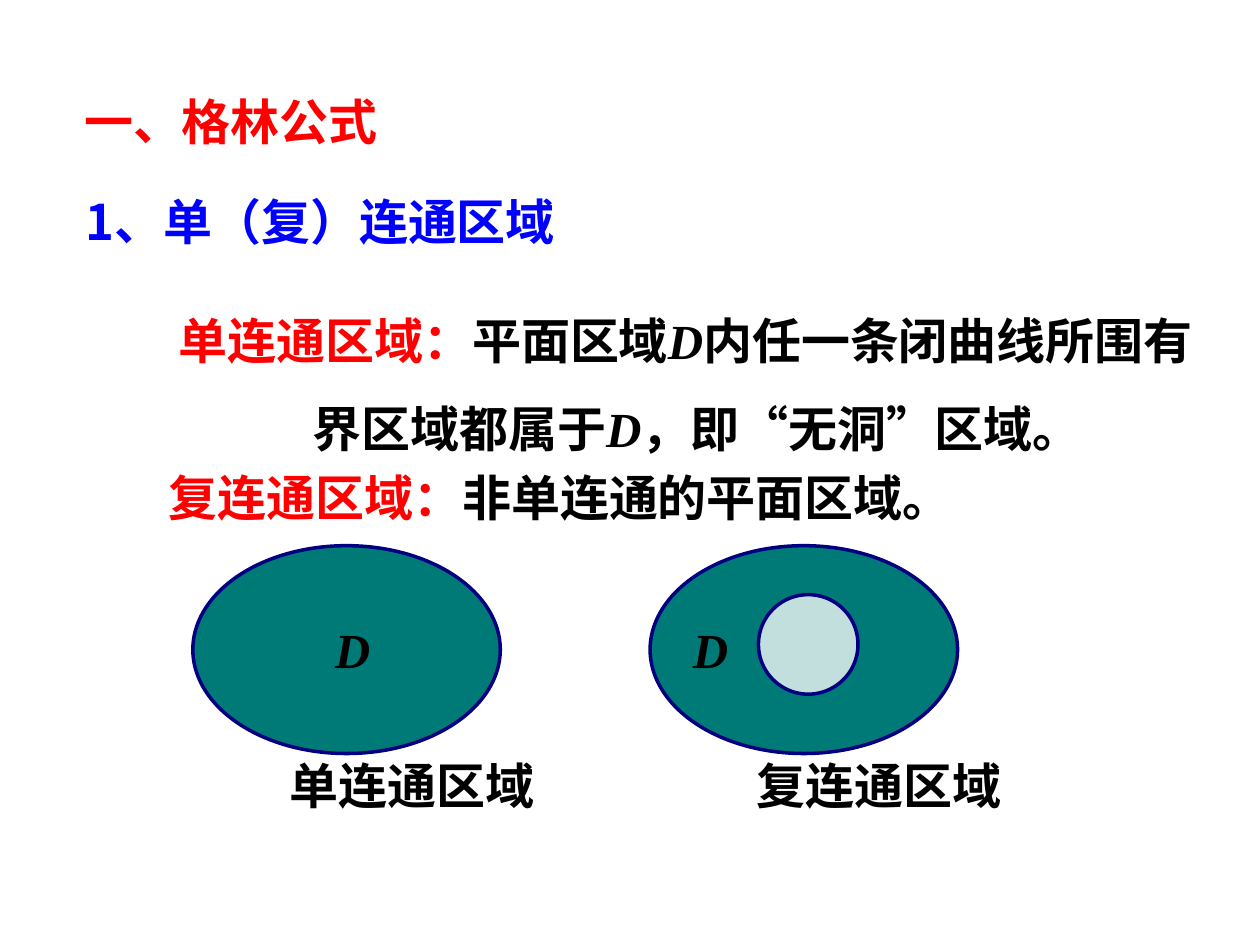
"""Builds a slide that defines simply and multiply connected regions."""
from lxml import etree
from pptx import Presentation
from pptx.dml.color import RGBColor
from pptx.enum.shapes import MSO_SHAPE
from pptx.oxml.ns import qn
from pptx.util import Pt

OVAL = MSO_SHAPE.OVAL
RED = RGBColor(0xFF, 0x00, 0x00)
BLUE = RGBColor(0x00, 0x00, 0xFF)
BLACK = RGBColor(0x00, 0x00, 0x00)
WHITE = RGBColor(0xFF, 0xFF, 0xFF)
TEAL = RGBColor(0x00, 0x7A, 0x77)
NAVY = RGBColor(0x00, 0x00, 0x80)
CJK, LATIN = "Noto Sans CJK SC", "Times New Roman"
TEXT_H = 41

D = ("D", BLACK, LATIN)
HEADINGS = [
    ((41, 49, 239), [[("一、格林公式", RED, CJK)]], {}),
    ((41.8, 105.8, 303), [[("1、单（复）连通区域", BLUE, CJK)]], {}),
]
DEFINITIONS = [
    ((95, 157, 613.5), [
        [("单连通区域：", RED, CJK), ("平面区域", BLACK, CJK), D,
         ("内任一条闭曲线所围有", BLACK, CJK)],
        [("界区域都属于", BLACK, CJK), D, ("，即“无洞”区域。", BLACK, CJK)],
    ], {"height": 108, "spacing": 1.5, "indents": (0, 76.5)}),
    ((89.3, 263.5, 531), [
        [("复连通区域：", RED, CJK), ("非单连通的平面区域。", BLACK, CJK)],
    ], {}),
]
REGIONS = [
    {"left": 110.2, "label": 184.3, "caption": ("单连通区域", 158.4), "hole": None},
    {"left": 371.5, "label": 388.8, "caption": ("复连通区域", 425.5), "hole": 433.4},
]
REGION_TOP, REGION_W, REGION_H = 311.8, 175.7, 118.8
HOLE_TOP, HOLE_SIZE = 339.8, 56.9
LABEL_TOP, LABEL_W = 350.6, 45.4
CAPTION_TOP, CAPTION_W = 428.4, 211


def add_text(shapes, place, paragraphs, height=TEXT_H, spacing=None, indents=(0,)):
    left, top, width = place
    tf = shapes.add_textbox(Pt(left), Pt(top), Pt(width), Pt(height)).text_frame
    tf.word_wrap = True
    for i, (runs, indent) in enumerate(zip(paragraphs, indents)):
        p = tf.add_paragraph() if i else tf.paragraphs[0]
        if indent:
            p._p.get_or_add_pPr().set("marL", str(Pt(indent)))
        if spacing:
            p.line_spacing = spacing
        for text, color, font in runs:
            r = p.add_run()
            r.text = text
            r.font.size = Pt(28)
            r.font.bold = True
            r.font.italic = font == LATIN
            r.font.color.rgb = color
            r.font.name = font
            etree.SubElement(r._r.rPr, qn("a:ea")).set("typeface", font)


def add_oval(shapes, left, top, width, height, fill, alpha=None):
    sp = shapes.add_shape(OVAL, Pt(left), Pt(top), Pt(width), Pt(height))
    sp.shadow.inherit = False
    sp.fill.solid()
    sp.fill.fore_color.rgb = fill
    sp.line.color.rgb = NAVY
    sp.line.width = Pt(2)
    if alpha:
        color = sp._element.spPr.find(qn("a:solidFill"))[0]
        etree.SubElement(color, qn("a:alpha")).set("val", str(alpha * 1000))


def main():
    prs = Presentation()
    prs.slide_width, prs.slide_height = Pt(720), Pt(540)
    s = prs.slides.add_slide(prs.slide_layouts[6])
    for place, paragraphs, style in HEADINGS + DEFINITIONS:
        add_text(s.shapes, place, paragraphs, **style)
    for region in REGIONS:
        caption, left = region["caption"]
        add_text(s.shapes, (left, CAPTION_TOP, CAPTION_W), [[(caption, BLACK, CJK)]])
        group = s.shapes.add_group_shape().shapes
        add_oval(group, region["left"], REGION_TOP, REGION_W, REGION_H, TEAL)
        if region["hole"]:
            add_oval(group, region["hole"], HOLE_TOP, HOLE_SIZE, HOLE_SIZE, WHITE, alpha=76)
        add_text(group, (region["label"], LABEL_TOP, LABEL_W), [[D]])
    prs.save("out.pptx")


if __name__ == "__main__":
    main()
